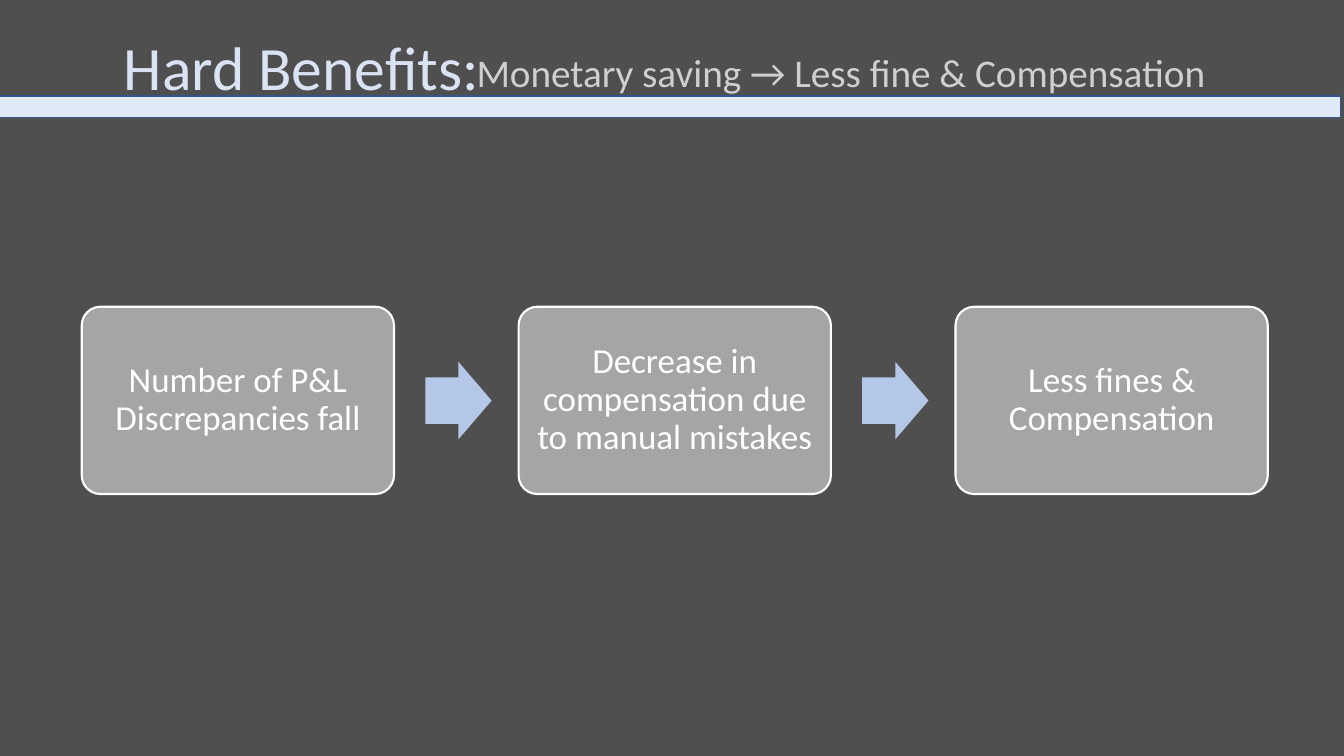
from pptx import Presentation
from pptx.dml.color import RGBColor
from pptx.enum.shapes import MSO_SHAPE
from pptx.enum.text import MSO_ANCHOR, PP_ALIGN
from pptx.util import Cm, Pt

RECT = MSO_SHAPE.RECTANGLE
ROUNDED = MSO_SHAPE.ROUNDED_RECTANGLE
ARROW = MSO_SHAPE.RIGHT_ARROW
MIDDLE = MSO_ANCHOR.MIDDLE
LEFT, CENTER = PP_ALIGN.LEFT, PP_ALIGN.CENTER

COLORS = {
    "background": "4F4F4F",
    "bar": "DEEBF7",
    "bar_line": "325491",
    "title": "DAE3F3",
    "subtitle": "D0CECE",
    "step": "A5A5A5",
    "arrow": "B4C7E7",
    "white": "FFFFFF",
}
STEPS = [
    "Number of P&L Discrepancies fall",
    "Decrease in compensation due to manual mistakes",
    "Less fines & Compensation",
]
STEP_LEFT, STEP_PITCH = 2.06, 11.01
ARROW_OFFSET = 8.66


def rgb(name):
    return RGBColor.from_string(COLORS[name])


class SlideBuilder:
    font = "Calibri"
    line_spacing = 0.9

    def __init__(self, prs):
        self.s = prs.slides.add_slide(prs.slide_layouts[6])
        fill = self.s.background.fill
        fill.solid()
        fill.fore_color.rgb = rgb("background")

    def shape(self, kind, box, fill, line=None, width=1, adjustments=()):
        sp = self.s.shapes.add_shape(kind, *map(Cm, box))
        sp.shadow.inherit = False
        sp.fill.solid()
        sp.fill.fore_color.rgb = rgb(fill)
        if line:
            sp.line.color.rgb = rgb(line)
            sp.line.width = Pt(width)
        else:
            sp.line.fill.background()
        for i, value in enumerate(adjustments):
            sp.adjustments[i] = value
        return sp

    def set_text(self, sp, text, size, color, align):
        tf = sp.text_frame
        tf.word_wrap = True
        tf.vertical_anchor = MIDDLE
        p = tf.paragraphs[0]
        p.text = text
        p.alignment = align
        p.line_spacing = self.line_spacing
        p.font.name = self.font
        p.font.size = Pt(size)
        p.font.color.rgb = rgb(color)

    def label(self, box, text, size, color):
        sp = self.s.shapes.add_textbox(*map(Cm, box))
        self.set_text(sp, text, size, color, LEFT)

    def step(self, left, text):
        sp = self.shape(ROUNDED, (left, 7.73, 7.87, 4.72), "step", "white", 1.5, [0.1])
        tf = sp.text_frame
        tf.margin_left = tf.margin_right = tf.margin_top = tf.margin_bottom = Cm(0.25)
        self.set_text(sp, text, 25, "white", CENTER)

    def arrow(self, left):
        self.shape(ARROW, (left, 9.12, 1.67, 1.95), "arrow", adjustments=[0.6, 0.5])


def main():
    prs = Presentation()
    prs.slide_width, prs.slide_height = Cm(33.87), Cm(19.05)
    slide = SlideBuilder(prs)
    for i, text in enumerate(STEPS):
        left = STEP_LEFT + i * STEP_PITCH
        slide.step(left, text)
        if i < len(STEPS) - 1:
            slide.arrow(left + ARROW_OFFSET)
    slide.shape(RECT, (-0.08, 2.42, 33.87, 0.55), "bar", "bar_line")
    slide.label((2.87, 1.35, 9.58, 0.86), "Hard Benefits:", 44, "title")
    slide.label((11.76, 1.4, 27.66, 0.97),
                "Monetary saving → Less fine & Compensation", 28, "subtitle")
    prs.save("out.pptx")


if __name__ == "__main__":
    main()
